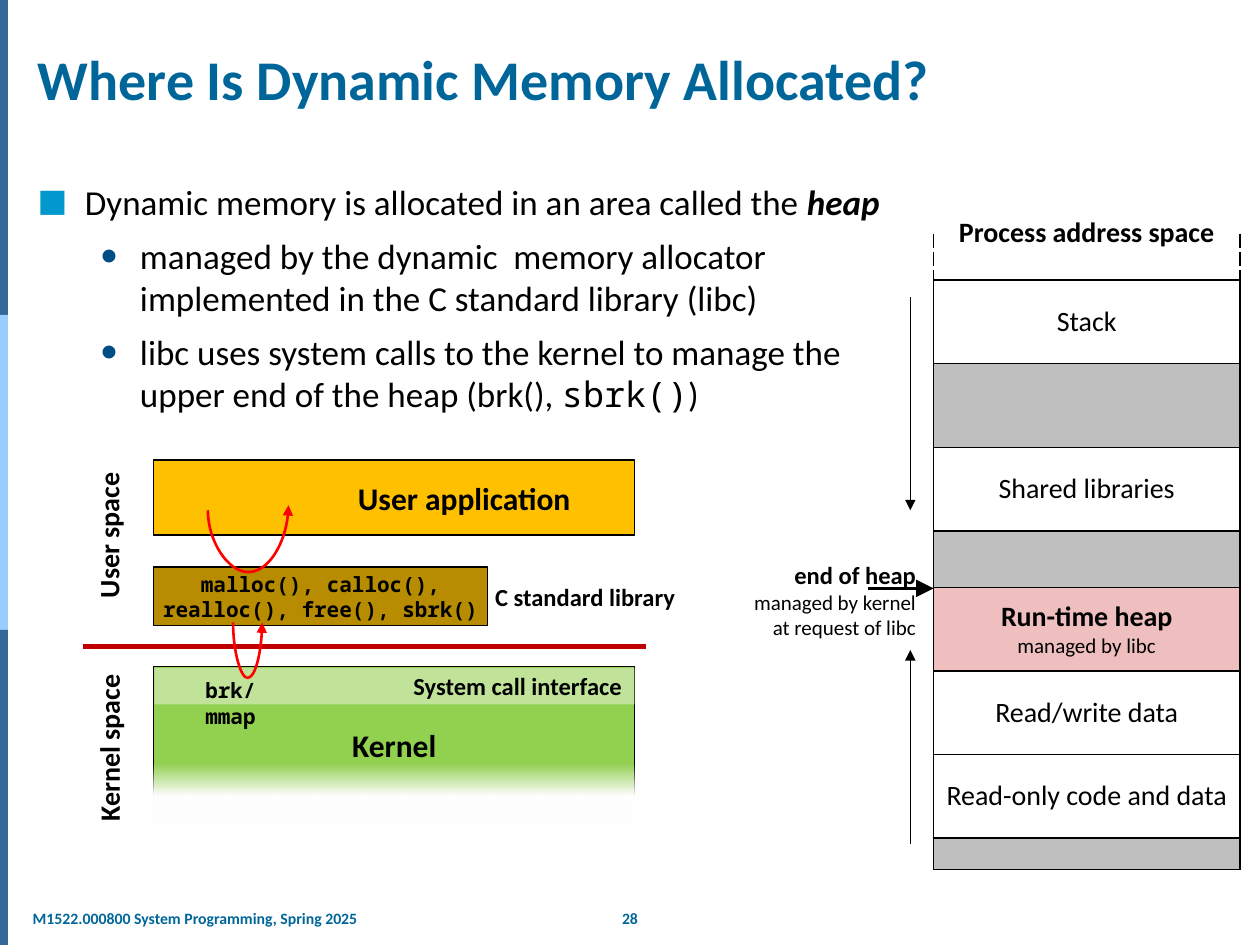
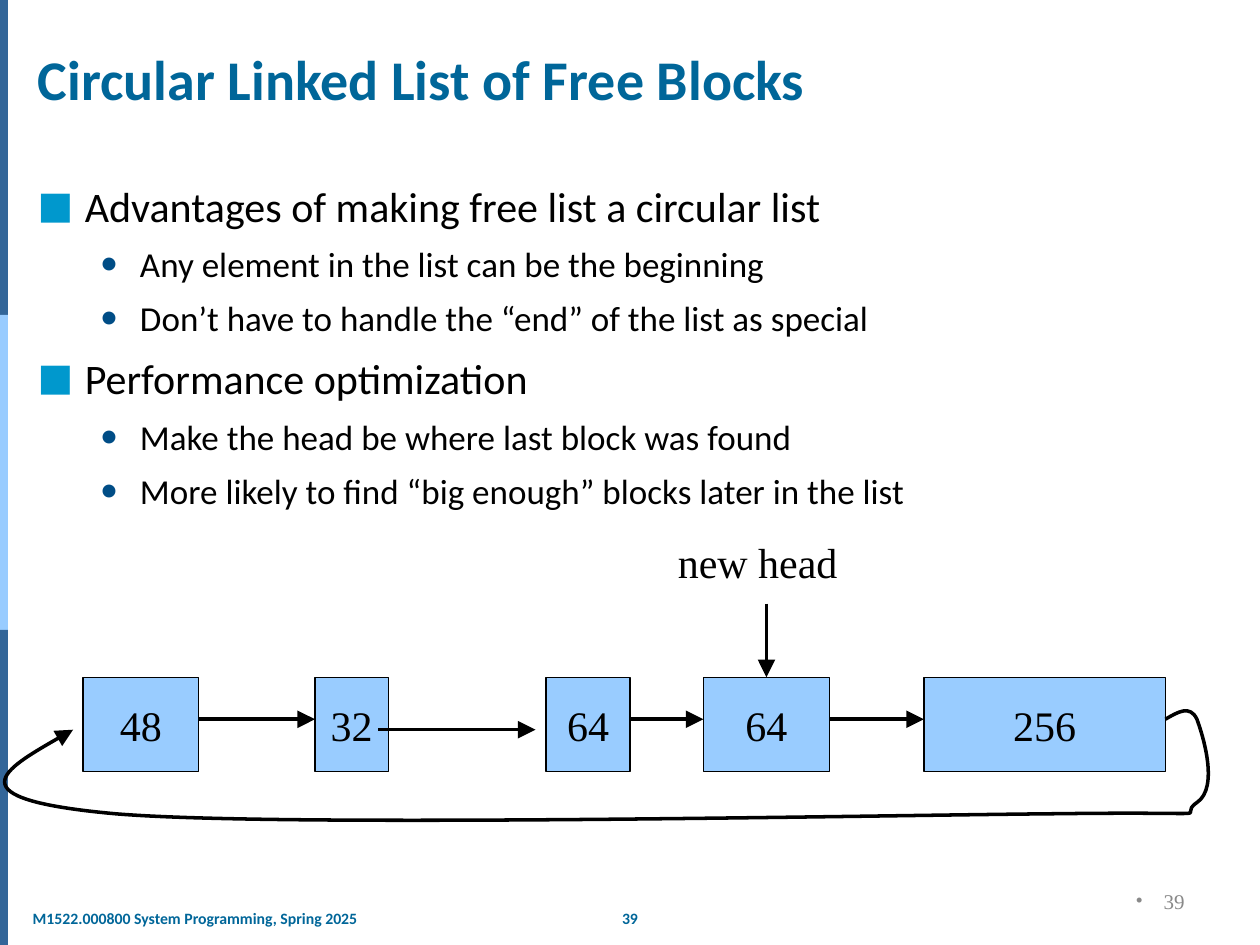
import dataclasses

import lxml.etree
import pptx
import pptx.dml.color
import pptx.enum.shapes
import pptx.enum.text
import pptx.oxml.ns
import pptx.util

Pt = pptx.util.Pt
rgb = pptx.dml.color.RGBColor.from_string
qn = pptx.oxml.ns.qn
ALIGN = pptx.enum.text.PP_ALIGN
ANCHOR = pptx.enum.text.MSO_ANCHOR
SubElement = lxml.etree.SubElement


@dataclasses.dataclass(frozen=True)
class Theme:
    sans: str = "Calibri"
    mono: str = "Noto Sans Mono"
    serif: str = "Times New Roman"
    title: str = "006699"
    ink: str = "000000"
    white: str = "FFFFFF"
    band_dark: str = "336699"
    band_light: str = "99CCFF"
    bullet_1: str = "0098CD"
    bullet_2: str = "004D86"
    unused: str = "BFBFBF"
    heap: str = "EFBFBF"
    app: str = "FFC000"
    libc: str = "B88C00"
    kernel: str = "92D050"
    syscall: str = "C0E399"
    border: str = "C00000"
    call: str = "FF0000"
    page: str = "898989"
    title_size: int = 32
    node_size: int = 24
    layer_size: int = 18
    label_size: int = 16
    note_size: int = 14
    small_size: int = 12
    footer_size: int = 9


T = Theme()


def label(s, box, text, size, fill=None, edge=False, font=T.sans, color=T.ink, bold=True,
          align=ALIGN.CENTER, anchor=ANCHOR.MIDDLE, wrap=True, left=7.2, right=7.2):
    """Add a text box, or a rectangle if there is a fill; each line is a paragraph."""
    box = [Pt(v) for v in box]
    if fill:
        sp = s.shapes.add_shape(pptx.enum.shapes.MSO_SHAPE.RECTANGLE, *box)
        sp.shadow.inherit = False
        sp.fill.solid()
        sp.fill.fore_color.rgb = rgb(fill)
        if edge:
            sp.line.color.rgb = rgb(T.ink)
            sp.line.width = Pt(0.75)
        else:
            sp.line.fill.background()
    else:
        sp = s.shapes.add_textbox(*box)
    tf = sp.text_frame
    tf.text = text
    tf.word_wrap = wrap
    tf.vertical_anchor = anchor
    tf.margin_left, tf.margin_right = Pt(left), Pt(right)
    for p in tf.paragraphs:
        p.alignment = align
        for r in p.runs:
            r.font.name, r.font.size, r.font.bold = font, Pt(size), bold
            r.font.color.rgb = rgb(color)
    return sp


def link(s, points, width, color=T.ink, head=True):
    """Join two points by a straight line, or more by cubic curves (three points each)."""
    start, *rest = [(Pt(x), Pt(y)) for x, y in points]
    if len(rest) == 1:
        sp = s.shapes.add_connector(pptx.enum.shapes.MSO_CONNECTOR.STRAIGHT, *start, *rest[0])
    else:
        sp = s.shapes.build_freeform(*start).add_line_segments(rest, close=False).convert_to_shape()
        sp.fill.background()
        outline = sp._element.xpath(".//a:path")[0]
        steps = sp._element.xpath(".//a:lnTo")
        for i in range(0, len(steps), 3):
            cubic = SubElement(outline, qn("a:cubicBezTo"))
            for step in steps[i:i + 3]:
                cubic.append(step[0])
                outline.remove(step)
    sp.line.color.rgb = rgb(color)
    sp.line.width = Pt(width)
    if head:
        scale = "lg" if width > 1.5 else "med"
        SubElement(sp.line._get_or_add_ln(), qn("a:tailEnd"), type="triangle", w=scale, len=scale)
    SubElement(sp._element.spPr, qn("a:effectLst"))


prs = pptx.Presentation()
prs.slide_width, prs.slide_height = Pt(720), Pt(540)

# Each body paragraph: level, size, runs
pages = [
    ("Where Is Dynamic Memory Allocated?", "28", [
        (0, 20, ["Dynamic memory is allocated in an area called the ", "heap"]),
        (1, 20, ["managed by the dynamic  memory allocator\v"
                 "implemented in the C standard library (libc)"]),
        (1, 20, ["libc uses system calls to the kernel to manage the\v"
                 "upper end of the heap (brk(), ", "sbrk()", ")"]),
    ]),
    ("Circular Linked List of Free Blocks", "39", [
        (0, 24, ["Advantages of making free list a circular list"]),
        (1, 20, ["Any element in the list can be the beginning"]),
        (1, 20, ["Don’t have to handle the “end” of the list as special"]),
        (0, 24, ["Performance optimization"]),
        (1, 20, ["Make the head be where last block was found"]),
        (1, 20, ["More likely to find “big enough” blocks later in the list"]),
    ]),
]
# Bullet by level: character, font, colour, size in percent, left margin, hang
bullet_styles = [("■", T.sans, T.bullet_1, 90, 27, 27), ("●", T.sans, T.bullet_2, 80, 58.5, 22.5)]
bulleted = []
bodies = []

for title, number, body in pages:
    s = prs.slides.add_slide(prs.slide_layouts[5])
    for i, color in enumerate([T.band_dark, T.band_light, T.band_dark]):
        label(s, (0, i * 180, 4.5, 180), "", T.footer_size, fill=color)

    sp = s.shapes.title
    sp.left, sp.top, sp.width, sp.height = Pt(14.4), Pt(22.3), Pt(694.8), Pt(45.4)
    tf = sp.text_frame
    tf.text = title
    tf.auto_size = pptx.enum.text.MSO_AUTO_SIZE.NONE
    tf.vertical_anchor = ANCHOR.BOTTOM
    p = tf.paragraphs[0]
    p.alignment = ALIGN.LEFT
    font = p.runs[0].font
    font.name, font.size, font.bold = T.sans, Pt(T.title_size), True
    font.color.rgb = rgb(T.title)

    tf = s.shapes.add_textbox(Pt(14.4), Pt(99.4), Pt(694.8), Pt(411)).text_frame
    tf.word_wrap = True
    for i, (level, size, texts) in enumerate(body):
        p = tf.add_paragraph() if i else tf.paragraphs[0]
        p.text = texts[0]
        for text in texts[1:]:
            p.add_run().text = text
        p.level = level
        p.space_before = Pt(round(0.34 * size, 1))
        for r in p.runs:
            r.font.name, r.font.size = T.sans, Pt(size)
            r.font.color.rgb = rgb(T.ink)
        bulleted.append((p, *bullet_styles[level]))
    bodies.append(tf)

    label(s, (347, 515.5, 26, 18), number, T.footer_size, color=T.title, anchor=ANCHOR.TOP)
    label(s, (14.4, 515.5, 240, 18), "M1522.000800 System Programming, Spring 2025",
          T.footer_size, color=T.title, align=ALIGN.LEFT, anchor=ANCHOR.TOP, left=4.3)

memory_slide, list_slide = prs.slides

# Where is dynamic memory allocated?
s = memory_slide
heap_run = bodies[0].paragraphs[0].runs[1]
heap_run.font.bold = heap_run.font.italic = True
bodies[0].paragraphs[2].runs[-2].font.name = T.mono

# Address space, top to bottom: row height, text, fill
regions = [
    (26.6, "", None),
    (47.75, "Stack", None),
    (47.75, "", T.unused),
    (47.75, "Shared libraries", None),
    (32.4, "", T.unused),
    (47.75, "Run-time heap\nmanaged by libc", T.heap),
    (47.75, "Read/write data", None),
    (47.75, "Read-only code and data", None),
    (18, "", T.unused),
]
table = s.shapes.add_table(len(regions), 1, Pt(533.5), Pt(133.5), Pt(175),
                           Pt(sum(region[0] for region in regions))).table
table.first_row = table.horz_banding = False
for i, (height, text, fill) in enumerate(regions):
    table.rows[i].height = Pt(height)
    cell = table.cell(i, 0)
    cell.text = text
    cell.vertical_anchor = ANCHOR.MIDDLE
    cell.margin_left = cell.margin_right = cell.margin_top = cell.margin_bottom = 0
    for j, p in enumerate(cell.text_frame.paragraphs):
        p.alignment = ALIGN.CENTER
        for r in p.runs:
            r.font.name, r.font.size = T.sans, Pt(T.small_size if j else T.label_size)
            r.font.bold = fill == T.heap and j == 0
            r.font.color.rgb = rgb(T.ink)
        if not text:
            SubElement(p._p, qn("a:endParaRPr"), sz="800")
    tcPr = cell._tc.get_or_add_tcPr()
    for side in ("lnL", "lnR", "lnT", "lnB"):
        ln = SubElement(tcPr, qn(f"a:{side}"), w=str(Pt(1)))
        if i == 0 and side == "lnT":
            SubElement(ln, qn("a:noFill"))
            continue
        SubElement(SubElement(ln, qn("a:solidFill")), qn("a:srgbClr"), val=T.ink)
        dashed = i == 0 and side in ("lnL", "lnR")
        SubElement(ln, qn("a:prstDash"), val="sysDash" if dashed else "solid")
    if fill:
        cell.fill.solid()
        cell.fill.fore_color.rgb = rgb(fill)
    else:
        cell.fill.background()

label(s, (533.5, 119, 175, 26.6), "Process address space", T.label_size, anchor=ANCHOR.TOP)
link(s, [(496, 336.2), (533.5, 336.2)], 1.75)
sp = label(s, (422.6, 308.2, 108, 62), "end of heap\nmanaged by kernel\nat request of libc",
           T.small_size, bold=False, align=ALIGN.RIGHT, anchor=ANCHOR.TOP, wrap=False)
p = sp.text_frame.paragraphs[0]
p.line_spacing = 1.5
p.runs[0].font.size, p.runs[0].font.bold = Pt(T.note_size), True

# User space and kernel space
link(s, [(47.5, 369.4), (369.4, 369.4)], 2.5, T.border, head=False)
label(s, (87.8, 381, 275, 89.3), "Kernel", T.layer_size, fill=T.kernel, edge=True)
label(s, (88.2, 381.6, 274.3, 20.9), "System call interface", T.note_size,
      fill=T.syscall, align=ALIGN.RIGHT)
label(s, (87.8, 262.8, 275, 43), "User application", T.layer_size, fill=T.app, edge=True,
      align=ALIGN.RIGHT, right=36.7)
label(s, (87.8, 324, 190.8, 33.5), "malloc(), calloc(),\nrealloc(), free(), sbrk()",
      T.small_size, fill=T.libc, edge=True, font=T.mono, wrap=False)
for box, text, align in [
    ((8.6, 303.1, 106.6, 26.6), "User space", ALIGN.RIGHT),
    ((5, 414, 114.5, 26.6), "Kernel space", ALIGN.CENTER),
]:
    label(s, box, text, T.label_size, align=align, anchor=ANCHOR.TOP).rotation = 270

fade = label(s, (81.4, 436.3, 288, 45.4), "", T.small_size, fill=T.white)
fade.fill.gradient()
fade.fill.gradient_angle = 270
for stop, position in zip(fade.fill.gradient_stops, (0, 0.41)):
    stop.color.rgb = rgb(T.white)
    stop.position = position
SubElement(fade._element.xpath(".//a:gs/a:srgbClr")[0], qn("a:alpha"), val="0")

label(s, (278.6, 324, 130, 33.8), "C standard library", T.note_size, align=ALIGN.LEFT, left=4.3)
label(s, (110.2, 383.8, 68.4, 40), "brk/mmap", T.small_size, font=T.mono,
      align=ALIGN.LEFT, anchor=ANCHOR.TOP)

# Calls go down to the layer below and return: left, right, start, end, lowest point
for x1, x2, y1, y2, low in [(118.8, 164.9, 291.6, 288.7, 326.9), (133.2, 149.8, 355.7, 355.7, 387.4)]:
    mid = (x1 + x2) / 2
    link(s, [(x1, y1), (x1, (y1 + low) / 2), ((x1 + mid) / 2, low), (mid, low),
             ((mid + x2) / 2, low), (x2, (low + y2) / 2), (x2, y2)], 1.5, T.call)
for y1, y2 in [(169.9, 291.6), (482.4, 371.5)]:
    link(s, [(520.2, y1), (520.2, y2)], 0.75)

# Circular linked list of free blocks
s = list_slide
sp = label(s, (516.2, 500.4, 167.8, 28.8), "39", T.small_size, font=T.serif, color=T.page,
           bold=False, align=ALIGN.RIGHT)
bulleted.append((sp.text_frame.paragraphs[0], "•", T.serif, T.page, 100, 16, 16))

for x, width, text in [(47.5, 66, "48"), (180, 42, "32"), (312, 48, "64"),
                       (402, 72, "64"), (528, 138, "256")]:
    label(s, (x, 387, width, 54), text, T.node_size, fill=T.band_light, edge=True,
          font=T.serif, bold=False, wrap=False)
for x1, x2, y in [(114, 180, 411), (216, 306, 417), (360, 402, 411), (474, 528, 411)]:
    link(s, [(x1, y), (x2, y)], 2)
link(s, [(438, 345), (438, 387)], 2)
link(s, [(666, 411), (673, 407), (680, 402.5), (684, 411),
         (687, 419), (697, 450), (684, 458.6),
         (670.3, 468), (708.5, 463.7), (605.5, 465),
         (502.6, 465.8), (159.8, 473), (65.5, 465),
         (-28, 456.5), (6.5, 437), (41.8, 417)], 2)
label(s, (380.2, 303, 120, 36), "new head", T.node_size, font=T.serif, bold=False,
      align=ALIGN.LEFT, anchor=ANCHOR.TOP)

for p, char, font, color, percent, margin, hang in bulleted:
    pPr = p._p.get_or_add_pPr()
    pPr.set("marL", str(Pt(margin)))
    pPr.set("indent", str(-Pt(hang)))
    SubElement(SubElement(pPr, qn("a:buClr")), qn("a:srgbClr"), val=color)
    SubElement(pPr, qn("a:buSzPct"), val=str(percent * 1000))
    SubElement(pPr, qn("a:buFont"), typeface=font)
    SubElement(pPr, qn("a:buChar"), char=char)

prs.save("out.pptx")
